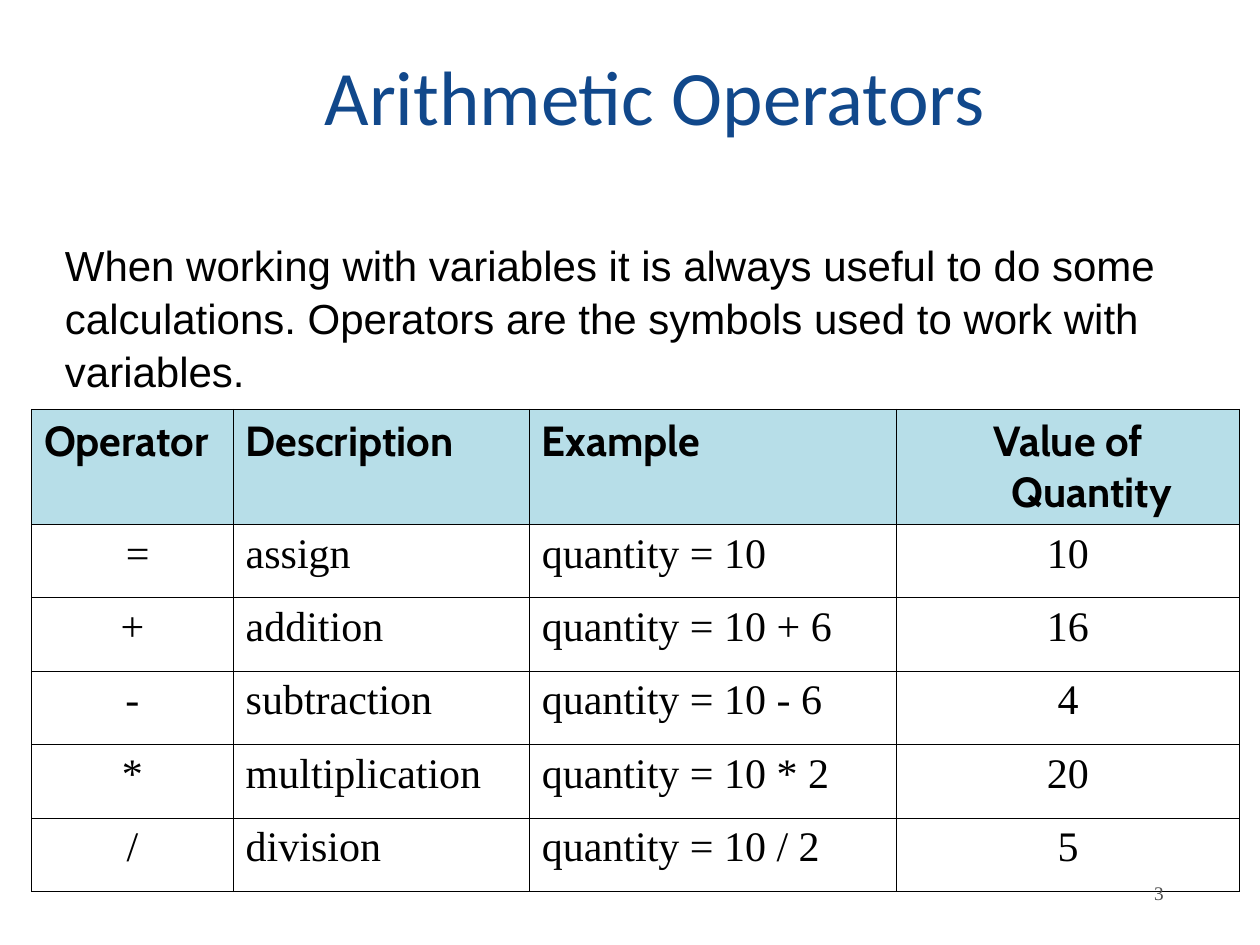
import pptx
import pptx.dml.color
import pptx.enum.text
import pptx.oxml
import pptx.oxml.ns
import pptx.util
from pptx.dml.color import RGBColor
from pptx.util import Cm

BLACK = RGBColor(0x00, 0x00, 0x00)
WHITE = RGBColor(0xFF, 0xFF, 0xFF)
TITLE_BLUE = RGBColor(0x11, 0x48, 0x8B)
HEADER_BLUE = RGBColor(0xB7, 0xDE, 0xE8)
PAGE_GREY = RGBColor(0x4D, 0x4D, 0x4D)

LEFT = pptx.enum.text.PP_ALIGN.LEFT
CENTER = pptx.enum.text.PP_ALIGN.CENTER
RIGHT = pptx.enum.text.PP_ALIGN.RIGHT
TOP = pptx.enum.text.MSO_ANCHOR.TOP
MIDDLE = pptx.enum.text.MSO_ANCHOR.MIDDLE


def write_text(frame, text, font="Times New Roman", size=24, color=BLACK,
               bold=False, align=LEFT, anchor=TOP, spacing=None, hanging=None):
    frame.word_wrap = True
    frame.vertical_anchor = anchor
    paragraph = frame.paragraphs[0]
    paragraph.alignment = align
    paragraph.line_spacing = spacing
    if hanging is not None:
        properties = paragraph._p.get_or_add_pPr()
        properties.set("marL", str(hanging))
        properties.set("indent", str(-hanging))
    run = paragraph.add_run()
    run.text = text
    run.font.name = font
    run.font.size = pptx.util.Pt(size)
    run.font.bold = bold
    run.font.color.rgb = color


def add_border(cell):
    properties = cell._tc.get_or_add_tcPr()
    for index, side in enumerate(("lnL", "lnR", "lnT", "lnB")):
        line = pptx.oxml.parse_xml(
            f'<a:{side} {pptx.oxml.ns.nsdecls("a")} w="{pptx.util.Pt(0.45)}">'
            f'<a:solidFill><a:srgbClr val="{BLACK}"/></a:solidFill></a:{side}>')
        properties.insert(index, line)


presentation = pptx.Presentation()
presentation.slide_width = Cm(25.4)
presentation.slide_height = Cm(19.05)
slide = presentation.slides.add_slide(presentation.slide_layouts[6])

# Title
title = slide.shapes.add_textbox(Cm(2.33), Cm(0.42), Cm(17.78), Cm(2.96))
write_text(title.text_frame, "Arithmetic Operators", font="Calibri", size=44,
           color=TITLE_BLUE, align=RIGHT, anchor=MIDDLE)

# Operator table
rows = [
    ("Operator", "Description", "Example", "Value of Quantity"),
    (" =", "assign", "quantity = 10", "10"),
    ("+", "addition", "quantity = 10 + 6", "16"),
    ("-", "subtraction", "quantity = 10 - 6", "4"),
    ("*", "multiplication", "quantity = 10 * 2", "20"),
    ("/", "division", "quantity = 10 / 2", "5"),
]
column_widths = [4.06, 5.97, 7.4, 6.92]
header_height, row_height = 2.32, 1.48
table_height = header_height + row_height * (len(rows) - 1)
table = slide.shapes.add_table(
    len(rows), len(column_widths), Cm(0.64), Cm(8.25),
    Cm(sum(column_widths)), Cm(table_height)).table
for column, width in zip(table.columns, column_widths):
    column.width = Cm(width)

for row_index, values in enumerate(rows):
    is_header = row_index == 0
    table.rows[row_index].height = Cm(header_height if is_header else row_height)
    for column_index, value in enumerate(values):
        cell = table.cell(row_index, column_index)
        cell.fill.solid()
        cell.fill.fore_color.rgb = HEADER_BLUE if is_header else WHITE
        centered = column_index == 3 or (column_index == 0 and not is_header)
        write_text(cell.text_frame, value, bold=is_header,
                   font="Cabin" if is_header else "Times New Roman",
                   align=CENTER if centered else LEFT, hanging=Cm(0.95))
        add_border(cell)

# Page number
page_number = slide.shapes.add_textbox(Cm(20.11), Cm(17.36), Cm(3.6), Cm(1.27))
write_text(page_number.text_frame, "3", size=11, color=PAGE_GREY,
           align=RIGHT, anchor=MIDDLE)

# Introduction
introduction = slide.shapes.add_textbox(Cm(1.06), Cm(4.66), Cm(23.06), Cm(4.32))
write_text(introduction.text_frame,
           "When working with variables it is always useful to do some "
           "calculations. Operators are the symbols used to work with variables.",
           font="Arial", spacing=1.05)

presentation.save("out.pptx")
